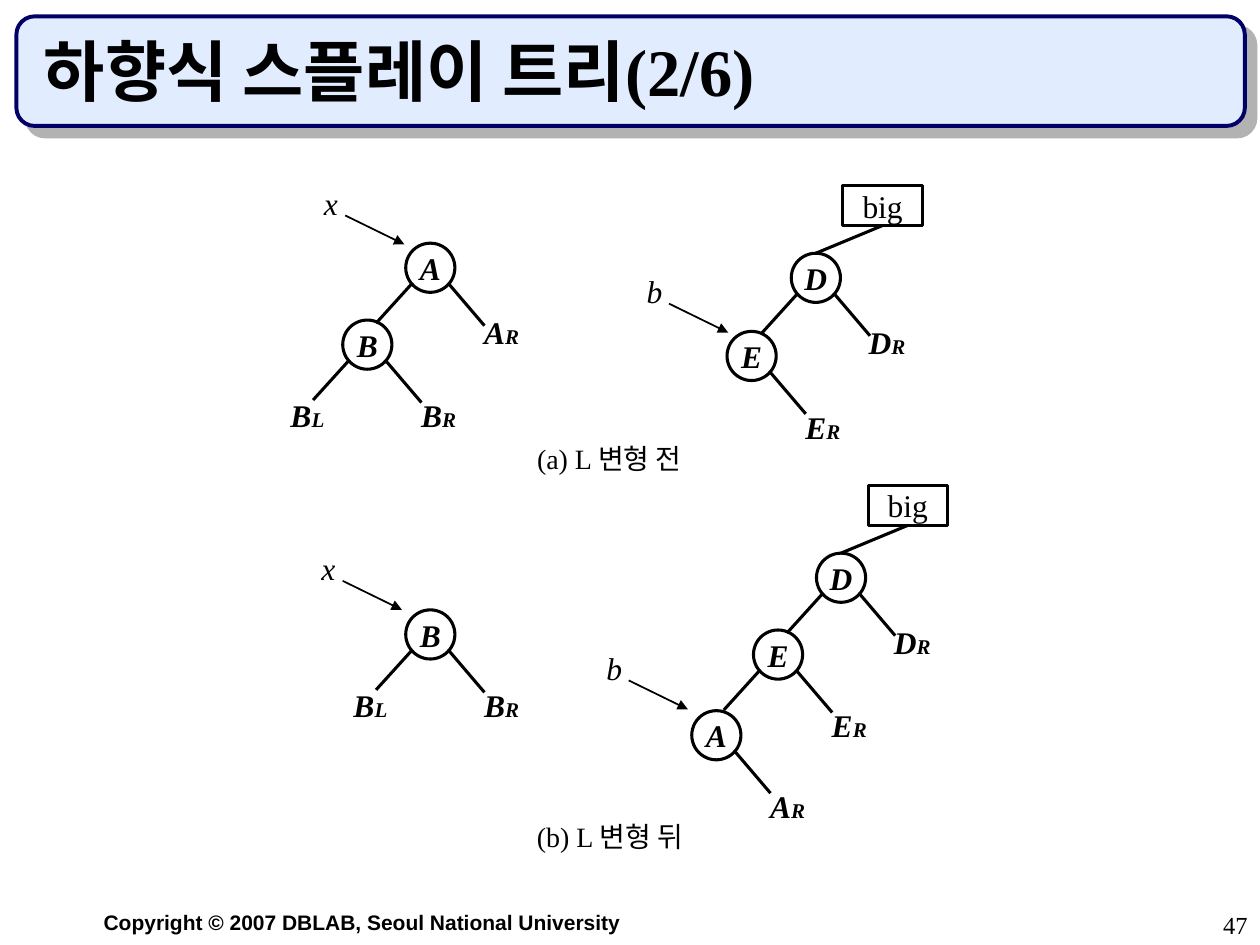
from lxml import etree
from pptx import Presentation
from pptx import util as u
from pptx.dml.color import RGBColor
from pptx.enum import shapes, text
from pptx.oxml import ns

BLACK = RGBColor(0x00, 0x00, 0x00)
NAVY = RGBColor(0x00, 0x00, 0x66)
PALE = RGBColor(0xE1, 0xEC, 0xFF)
GREY = "B2B2B2"
SERIF = "Times New Roman"
SIZE = 0.39  # diameter of a node
LEFT, MID, RIGHT = text.PP_ALIGN.LEFT, text.PP_ALIGN.CENTER, text.PP_ALIGN.RIGHT
KINDS = shapes.MSO_SHAPE


def sub(parent, tag, **attrs):
    return etree.SubElement(parent, ns.qn(tag), attrs)


class Sketch:
    def __init__(self, slide, font=SERIF, color=BLACK, weight=1.75):
        self.slide = slide
        self.font = font
        self.color = color
        self.weight = weight

    def style(self, run, size, bold=False, slant=False, font=None):
        run.font.name = font or self.font
        run.font.size = u.Pt(size)
        run.font.bold = bold
        run.font.italic = slant
        run.font.color.rgb = self.color

    def label(self, words, x, y, w, h, size=18, align=MID, space=0.8,
              low="", anchor=text.MSO_ANCHOR.TOP, **look):
        """Text box; low is a smaller suffix."""
        box = self.slide.shapes.add_textbox(*map(u.Inches, (x, y, w, h)))
        frame = box.text_frame
        frame.word_wrap = True
        frame.vertical_anchor = anchor
        frame.text = words
        para = frame.paragraphs[0]
        para.alignment = align
        para.line_spacing = space
        self.style(para.runs[0], size, **look)
        if low:
            run = para.add_run()
            run.text = low
            self.style(run, 12, **look)

    def shape(self, kind, x, y, w, h, words="", **look):
        """Outlined shape with centred text."""
        item = self.slide.shapes.add_shape(kind, *map(u.Inches, (x, y, w, h)))
        item.shadow.inherit = False
        item.fill.background()
        item.line.color.rgb = self.color
        item.line.width = u.Pt(self.weight)
        if words:
            frame = item.text_frame
            frame.margin_left = frame.margin_right = 0
            frame.margin_top = frame.margin_bottom = 0
            frame.word_wrap = False
            frame.vertical_anchor = text.MSO_ANCHOR.MIDDLE
            frame.text = words
            frame.paragraphs[0].alignment = MID
            self.style(frame.paragraphs[0].runs[0], 18, **look)
        return item

    def banner(self):
        item = self.shape(KINDS.ROUNDED_RECTANGLE, 0.13, 0.13, 9.75, 0.87)
        item.fill.solid()
        item.fill.fore_color.rgb = PALE
        item.line.color.rgb = NAVY
        item.line.width = u.Pt(2.25)
        effects = item._element.spPr.find(ns.qn("a:effectLst"))
        cast = sub(effects, "a:outerShdw", blurRad="0", dist=str(u.Pt(8.5)),
                   dir=str(45 * 60000), algn="ctr", rotWithShape="0")
        sub(cast, "a:srgbClr", val=GREY)

    def line(self, x1, y1, x2, y2, weight=None, arrow=False):
        item = self.slide.shapes.add_connector(
            shapes.MSO_CONNECTOR.STRAIGHT, *map(u.Inches, (x1, y1, x2, y2)))
        item.line.color.rgb = self.color
        item.line.width = u.Pt(weight or self.weight)
        if arrow:
            sub(item.line._get_or_add_ln(), "a:tailEnd", type="triangle")
        sub(item._element.spPr, "a:effectLst")
        return item

    def node(self, name, x, y, left="", right="R", drop=0.42):
        """Node with its branches; left or right names a leaf, "-" a bare branch."""
        cx, cy = x + SIZE / 2, y + SIZE / 2
        for side, low, reach, shift in ((-1, left, 0.44, -0.75),
                                        (1, right, 0.46, 0.29)):
            if low:
                self.line(cx + side * 0.14, cy + 0.12,
                          cx + side * 0.43, cy + reach)
            if low and low != "-":
                self.label(name, cx + shift, cy + drop, 0.55, 0.34,
                           low=low, bold=True, slant=True)
        return self.shape(KINDS.OVAL, x, y, SIZE, SIZE, name,
                          bold=True, slant=True)

    def pointer(self, name, x, y):
        self.label(name, x, y, 0.55, 0.34, slant=True)
        self.line(x + 0.39, y + 0.24, x + 0.86, y + 0.47, 1, arrow=True)

    def big(self, x, y):
        """The big tree: header box over node D."""
        head = self.shape(KINDS.RECTANGLE, x, y, 0.63, 0.32, "big")
        root = self.node("D", x - 0.41, y + 0.54, left="-", drop=0.37)
        link = self.line(x, y, x, y)
        link.begin_connect(head, 2)
        link.end_connect(root, 0)


def main():
    deck = Presentation()
    deck.slide_width, deck.slide_height = u.Inches(10), u.Inches(7.5)
    art = Sketch(deck.slides.add_slide(deck.slide_layouts[6]))

    art.banner()
    art.label("하향식 스플레이 트리(2/6)", 0.25, 0.25, 9.42, 0.67, 38, LEFT, 1,
              anchor=text.MSO_ANCHOR.BOTTOM, bold=True)

    # Before the L transformation
    art.node("A", 3.22, 1.93, left="-", drop=0.37)
    art.node("B", 2.72, 2.54, left="L")
    art.pointer("x", 2.35, 1.47)
    art.big(6.69, 1.47)
    art.node("E", 5.77, 2.63)
    art.pointer("b", 4.92, 2.17)
    art.label("(a) L 변형 전", 3.89, 3.51, 1.89, 0.32, 16)

    # After the L transformation
    art.node("B", 3.22, 4.84, left="L")
    art.pointer("x", 2.33, 4.37)
    art.big(6.89, 3.85)
    art.node("E", 5.98, 5, left="-")
    art.node("A", 5.49, 5.64)
    art.pointer("b", 4.6, 5.16)
    art.label("(b) L 변형 뒤", 4.13, 6.51, 1.42, 0.32, 16)

    art.label("Copyright © 2007 DBLAB, Seoul National University",
              0.25, 7.17, 5.25, 0.3, 12, space=1, bold=True, font="Arial")
    art.label("47", 7.92, 7.17, 2.08, 0.33, 14, RIGHT, 1)
    deck.save("out.pptx")


if __name__ == "__main__":
    main()
